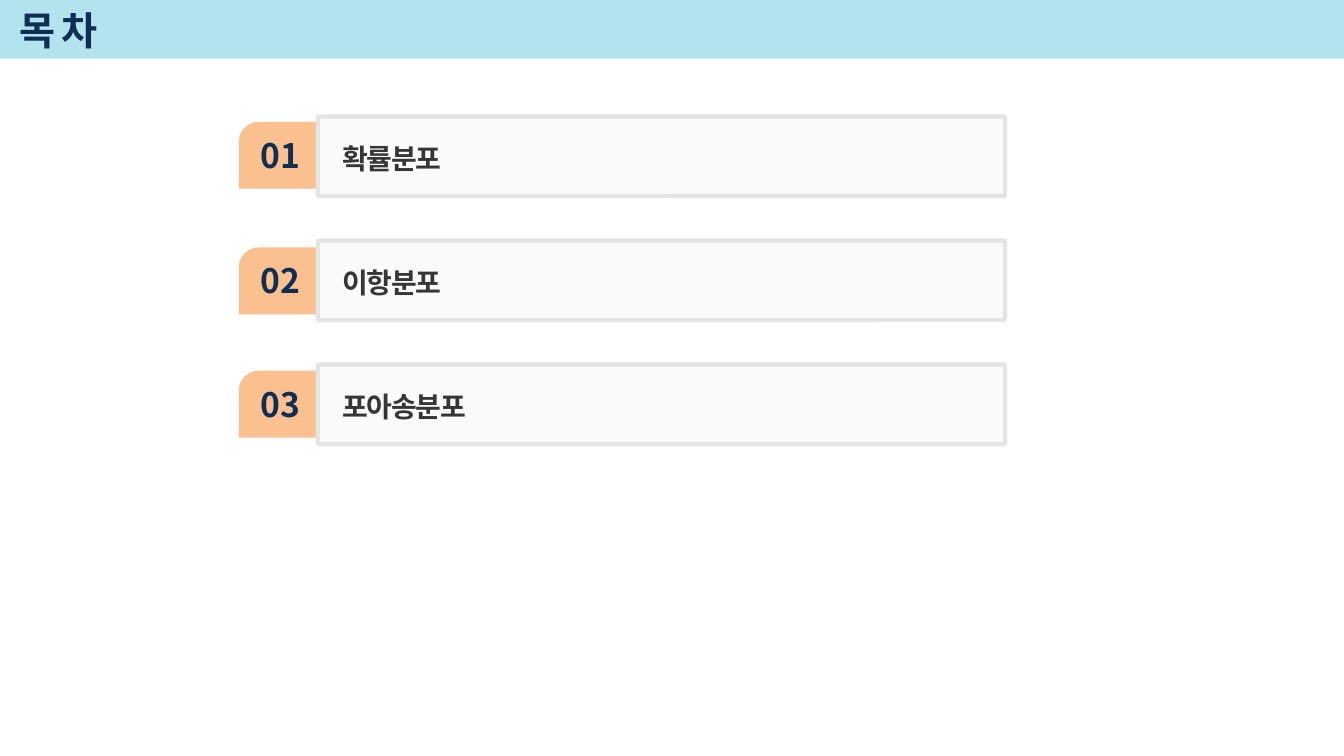
from dataclasses import dataclass

from lxml.etree import SubElement as Sub
from pptx import Presentation
from pptx.dml.color import RGBColor as Rgb
from pptx.enum.shapes import MSO_SHAPE as Form
from pptx.enum.text import MSO_ANCHOR as Anchor, MSO_AUTO_SIZE as Fit, PP_ALIGN as Align
from pptx.oxml.ns import qn
from pptx.util import Pt


@dataclass(frozen=True)
class Theme:
    face: str = "Noto Sans CJK KR"
    sky: str = "B3E3EE"
    peach: str = "FAC090"
    panel: str = "F2F2F2"
    edge: str = "E4E4E4"
    navy: str = "0F2E53"
    ink: str = "363636"
    head: int = 28
    num: int = 24
    item: int = 20


theme = Theme()
rows = [("01", "확률분포", 3.8), ("02", "이항분포", 5), ("03", "포아송분포", 4.4)]


def apply(obj, values):
    for key, value in values.items():
        setattr(obj, key, value)


def place(shape, x, y, w, h):
    apply(shape, {"left": Pt(x), "top": Pt(y), "width": Pt(w), "height": Pt(h)})


def draw(shapes, form, box, color, adjust=()):
    shape = shapes.add_shape(form, *map(Pt, box))
    shape.shadow.inherit = False
    shape.fill.solid()
    shape.fill.fore_color.rgb = Rgb.from_string(color)
    shape.line.fill.background()
    for i, value in enumerate(adjust):
        shape.adjustments[i] = value
    return shape


def write(shape, text, size, color, frame, para, space=0):
    body = shape.text_frame
    apply(body, frame)
    line = body.paragraphs[0]
    apply(line, para)
    run = line.add_run()
    run.text = text
    apply(run.font, {"size": Pt(size), "bold": True, "name": theme.face})
    run.font.color.rgb = Rgb.from_string(color)
    props = run.font._element
    Sub(props, qn("a:ea")).set("typeface", theme.face)
    if space:
        props.set("spc", str(space * 100))


def header(slide, x, y, w, h):
    title = slide.shapes.title
    bar = draw(slide.shapes, Form.RECTANGLE, (x, y, w, h), theme.sky)
    title.element.addprevious(bar.element)
    place(title, x + 6.5, y + 4.3, 817, 37.4)
    write(title, "목 차", theme.head, theme.navy,
          {"vertical_anchor": Anchor.MIDDLE, "word_wrap": True, "auto_size": Fit.NONE},
          {"alignment": Align.LEFT}, -1)


def entry(slide, x, y, w, h, num, text, drop):
    shapes = slide.shapes.add_group_shape().shapes
    draw(shapes, Form.SNIP_ROUND_RECTANGLE, (x, y + drop, 57.6, 47.8),
         theme.peach, (0.3, 0))
    mark = shapes.add_textbox(*map(Pt, (x + 8.6, y + drop + 5.6, 42.5, 36)))
    write(mark, num, theme.num, theme.navy,
          {"word_wrap": False, "auto_size": Fit.SHAPE_TO_FIT_TEXT},
          {"alignment": Align.CENTER})
    panel = draw(shapes, Form.ROUNDED_RECTANGLE, (x + 56.4, y, w - 56.4, h),
                 theme.panel, (0.02,))
    tint = panel.fill._xPr.find(qn("a:solidFill"))[0]
    Sub(tint, qn("a:alpha")).set("val", "33000")
    panel.line.color.rgb = Rgb.from_string(theme.edge)
    panel.line.width = Pt(3)
    label = shapes.add_textbox(*map(Pt, (x + 67, y + 11.8, 380, 31.7)))
    write(label, text, theme.item, theme.ink,
          {"word_wrap": True, "auto_size": Fit.SHAPE_TO_FIT_TEXT},
          {"line_spacing": 1.1, "space_after": Pt(3)}, -1)


def agenda(slide, x, y, w, h):
    step = h / len(rows)
    for i, row in enumerate(rows):
        entry(slide, x, y + i * step, w, 56.9, *row)


def main():
    deck = Presentation()
    apply(deck, {"slide_width": Pt(960), "slide_height": Pt(540)})
    slide = deck.slides.add_slide(deck.slide_layouts[5])
    header(slide, 0, -1.7, 960, 43.7)
    agenda(slide, 170.6, 83.2, 547.3, 265.8)
    deck.save("out.pptx")


if __name__ == "__main__":
    main()
